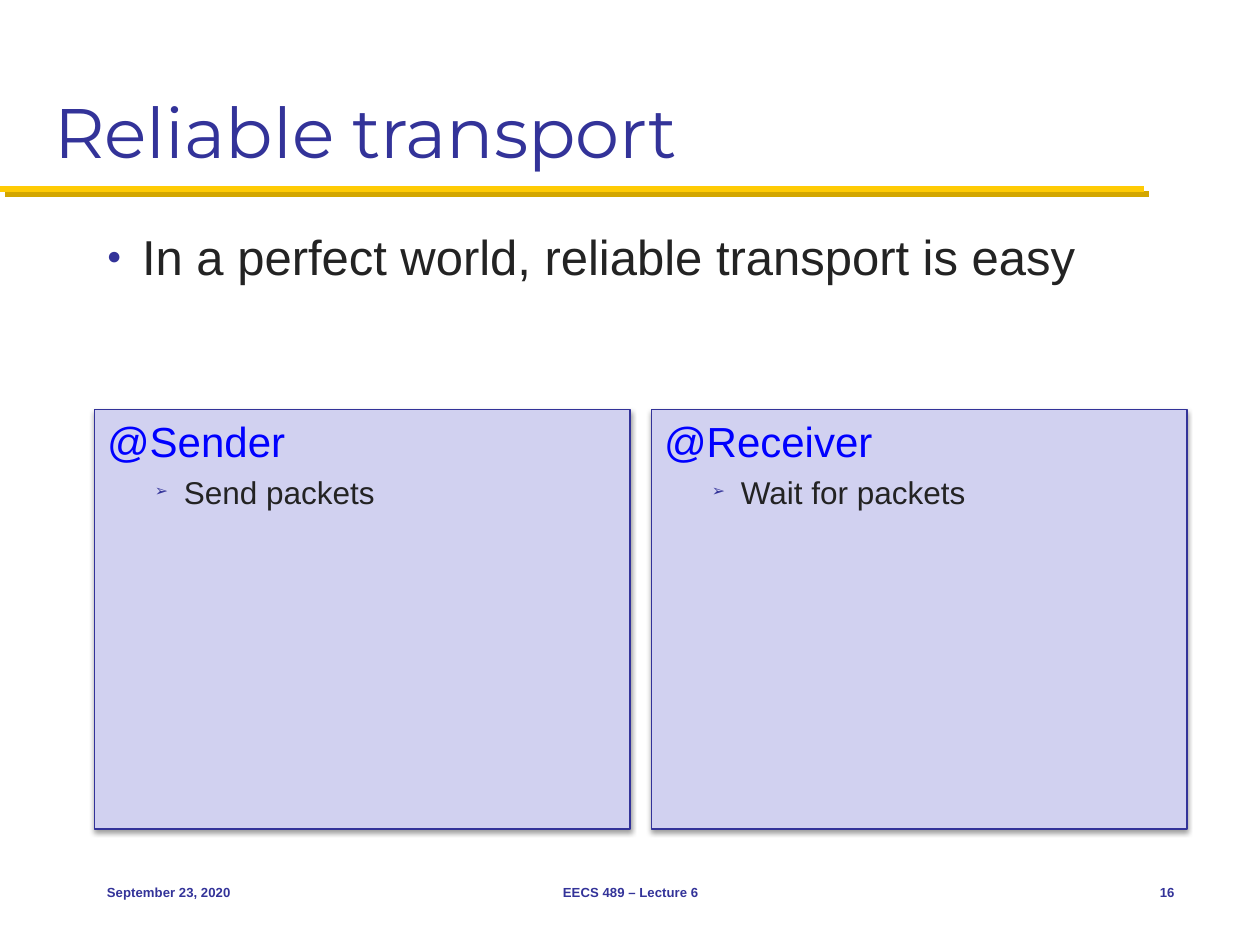
from dataclasses import dataclass

from lxml.etree import SubElement
from pptx import Presentation
from pptx.dml.color import RGBColor
from pptx.enum.shapes import MSO_CONNECTOR
from pptx.enum.text import MSO_ANCHOR, MSO_AUTO_SIZE, PP_ALIGN
from pptx.oxml.ns import qn
from pptx.util import Inches, Pt

NAVY = RGBColor(0x33, 0x33, 0x99)
BLUE = RGBColor(0x00, 0x00, 0xFF)
INK = RGBColor(0x23, 0x23, 0x23)
LILAC = RGBColor(0xD1, 0xD1, 0xF0)
GOLD = RGBColor(0xFF, 0xCB, 0x05)
OCHRE = RGBColor(0xD3, 0xA6, 0x00)
BLACK = RGBColor(0x00, 0x00, 0x00)

TITLE = {"name": "Montserrat", "size": Pt(40)}
POINT = {"name": "Arial", "size": Pt(28)}
HEAD = {"name": "Arial", "size": Pt(24)}
ITEM = {"name": "Arial", "size": Pt(18)}
FOOT = {"name": "Arial", "size": Pt(7.5), "bold": True}


@dataclass
class Panel:
    left: float
    head: str
    item: str


@dataclass
class Footer:
    left: float
    width: float
    text: str
    align: PP_ALIGN


PANELS = [
    Panel(0.75, "@Sender", "Send packets"),
    Panel(5.17, "@Receiver", "Wait for packets"),
]
FOOTERS = [
    Footer(0.75, 2.08, "September 23, 2020", PP_ALIGN.LEFT),
    Footer(3.42, 3.17, "EECS 489 – Lecture 6", PP_ALIGN.CENTER),
    Footer(8.75, 0.67, "16", PP_ALIGN.RIGHT),
]


def place(shape, left: float, top: float, width: float, height: float) -> None:
    shape.left, shape.top = Inches(left), Inches(top)
    shape.width, shape.height = Inches(width), Inches(height)


def write(para, text: str, style: dict, color: RGBColor) -> None:
    run = para.add_run()
    run.text = text
    for key, value in style.items():
        setattr(run.font, key, value)
    run.font.color.rgb = color


def indent(para, left: float, mark: str = "", size: int = 50) -> None:
    """Set a hanging indent of the given mark, or no bullet at all."""
    props = para._p.get_or_add_pPr()
    hang = 0.23 if para.level else left
    props.set("marL", str(Inches(left)))
    props.set("indent", str(-Inches(hang)))
    if not mark:
        SubElement(props, qn("a:buNone"))
        return
    tint = SubElement(props, qn("a:buClr"))
    SubElement(tint, qn("a:srgbClr"), val=str(NAVY))
    SubElement(props, qn("a:buSzPct"), val=str(size * 1000))
    SubElement(props, qn("a:buFont"), typeface="Arial")
    SubElement(props, qn("a:buChar"), char=mark)


def shade(shape, color: RGBColor, alpha: int, blur: float, dist: float, angle: int) -> None:
    """Add an outer shadow."""
    effects = SubElement(shape._element.spPr, qn("a:effectLst"))
    outer = SubElement(effects, qn("a:outerShdw"), blurRad=str(Pt(blur)),
                       dist=str(Pt(dist)), dir=str(angle * 60000),
                       algn="ctr", rotWithShape="0")
    tint = SubElement(outer, qn("a:srgbClr"), val=str(color))
    SubElement(tint, qn("a:alpha"), val=str(alpha * 1000))


def draw_rule(slide) -> None:
    rule = slide.shapes.add_connector(
        MSO_CONNECTOR.STRAIGHT, 0, Inches(1.5), Inches(9.08), Inches(1.5))
    rule.line.color.rgb = GOLD
    rule.line.width = Pt(3.5)
    shade(rule, OCHRE, 100, 0, 4.2, 45)


def draw_title(slide, text: str) -> None:
    title = slide.shapes.title
    place(title, 0.33, 0.17, 9.33, 1.25)
    frame = title.text_frame
    frame.auto_size = MSO_AUTO_SIZE.NONE
    frame.vertical_anchor = MSO_ANCHOR.BOTTOM
    frame.paragraphs[0].alignment = PP_ALIGN.LEFT
    write(frame.paragraphs[0], text, TITLE, NAVY)


def draw_panel(shape, panel: Panel) -> None:
    place(shape, panel.left, 3.25, 4.25, 3.33)
    shape.fill.solid()
    shape.fill.fore_color.rgb = LILAC
    shape.line.color.rgb = NAVY
    shape.line.width = Pt(0.75)
    shade(shape, BLACK, 38, 3.1, 1.6, 90)
    frame = shape.text_frame
    frame.auto_size = MSO_AUTO_SIZE.NONE
    head, item = frame.paragraphs[0], frame.add_paragraph()
    head.space_before, item.space_before = Pt(4.8), Pt(3.6)
    item.level = 1
    indent(head, 0)
    indent(item, 0.61, "➢")
    write(head, panel.head, HEAD, BLUE)
    write(item, panel.item, ITEM, INK)


def draw_point(slide, text: str) -> None:
    box = slide.shapes.add_textbox(
        Inches(0.75), Inches(1.75), Inches(8.67), Inches(0.83))
    box.text_frame.word_wrap = True
    para = box.text_frame.paragraphs[0]
    para.space_before = Pt(5.6)
    indent(para, 0.28, "●")
    write(para, text, POINT, INK)


def draw_footer(slide, foot: Footer) -> None:
    box = slide.shapes.add_textbox(
        Inches(foot.left), Inches(6.83), Inches(foot.width), Inches(0.5))
    frame = box.text_frame
    frame.word_wrap = True
    frame.vertical_anchor = MSO_ANCHOR.MIDDLE
    frame.paragraphs[0].alignment = foot.align
    write(frame.paragraphs[0], foot.text, FOOT, NAVY)


def main() -> None:
    deck = Presentation()
    deck.slide_width, deck.slide_height = Inches(10), Inches(7.5)
    slide = deck.slides.add_slide(deck.slide_layouts.get_by_name("Two Content"))
    draw_rule(slide)
    draw_title(slide, "Reliable transport")
    for slot, panel in enumerate(PANELS, start=1):
        draw_panel(slide.placeholders[slot], panel)
    draw_point(slide, "In a perfect world, reliable transport is easy")
    for foot in FOOTERS:
        draw_footer(slide, foot)
    deck.save("out.pptx")


if __name__ == "__main__":
    main()
